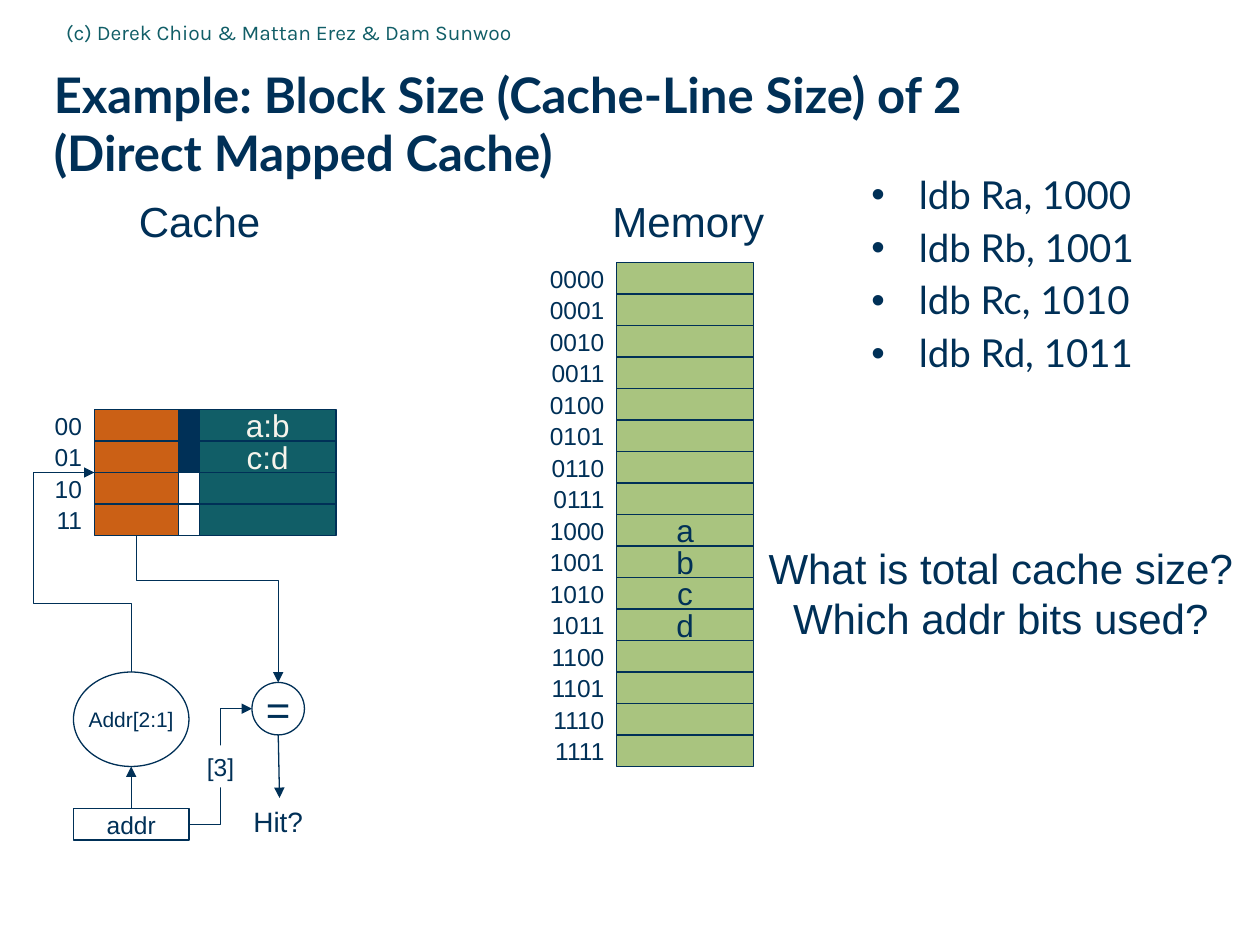
"""Build the slide on a direct mapped cache with a block size of two."""
from pptx import Presentation, util as u
from pptx.dml.color import RGBColor
from pptx.enum import shapes as s, text as t
from pptx.oxml import ns, parse_xml

PX = 9525
NAVY, TEAL, RUST, LEAF, WHITE, CREAM = "003057", "115E67", "CB6015", "A9C47F", "FFFFFF", "F7F4EC"
MID, LEFT, RIGHT = t.PP_ALIGN.CENTER, t.PP_ALIGN.LEFT, t.PP_ALIGN.RIGHT
RECT, OVAL = s.MSO_SHAPE.RECTANGLE, s.MSO_SHAPE.OVAL
rgb = RGBColor.from_string


def write(frame, words, size, face="Arial", hue=NAVY, bold=False, **form):
    frame.text = words
    for par in frame.paragraphs:
        for name, val in form.items():
            setattr(par, name, val)
        for run in par.runs:
            for name, val in dict(size=u.Pt(size), name=face, bold=bold).items():
                setattr(run.font, name, val)
            run.font.color.rgb = rgb(hue)


def box(kind, at, words="", size=14, align=MID, fill=None, line=NAVY, **look):
    at = [n * PX for n in at]
    if kind is None:
        item = draw.add_textbox(*at)
    else:
        item = draw.add_shape(kind, *at)
        item.shadow.inherit = False
        for part, hue in ((item.fill, fill), (item.line.fill, line)):
            if hue:
                part.solid()
                part.fore_color.rgb = rgb(hue)
            else:
                part.background()
        item.line.width = u.Pt(0.75)
    if words:
        frame = item.text_frame
        frame.word_wrap = False
        frame.vertical_anchor = t.MSO_ANCHOR.MIDDLE
        write(frame, words, size, alignment=align, **look)


deck = Presentation()
deck.slide_width, deck.slide_height = 960 * PX, 720 * PX
slide = deck.slides.add_slide(deck.slide_layouts[1])
draw = slide.shapes
title, body = slide.placeholders

for item, at, anchor in (
    (title, (41, 48, 903, 94), t.MSO_ANCHOR.MIDDLE),
    (body, (664, 134, 296, 540), t.MSO_ANCHOR.TOP),
):
    item.left, item.top, item.width, item.height = [n * PX for n in at]
    frame = item.text_frame
    look = dict(auto_size=t.MSO_AUTO_SIZE.NONE, vertical_anchor=anchor, word_wrap=True,
                margin_left=0, margin_right=0, margin_top=0, margin_bottom=0)
    for name, val in look.items():
        setattr(frame, name, val)

write(title.text_frame, "Example: Block Size (Cache-Line Size) of 2\v(Direct Mapped Cache)",
      28, "Lato", bold=True, alignment=LEFT, line_spacing=0.99)
write(body.text_frame, "ldb Ra, 1000\nldb Rb, 1001\nldb Rc, 1010\nldb Rd, 1011",
      22, "Lato", line_spacing=0.9, space_before=u.Pt(6.5))
for par in body.text_frame.paragraphs:
    prop = par._p.get_or_add_pPr()
    prop.set("marL", str(36 * PX))
    prop.set("indent", str(-36 * PX))

box(None, (41, 3, 545, 43), "(c) Derek Chiou & Mattan Erez & Dam Sunwoo", 12, LEFT,
    face="Karla", hue=TEAL)
box(None, (457, 144, 135, 48), "Memory", 24)
box(None, (96, 144, 112, 48), "Cache", 24)

data = {8: "a", 9: "b", 10: "c", 11: "d"}
for row in range(16):
    top = 200 + 24 * row
    box(RECT, (470, top, 104, 24), data.get(row, ""), 18, fill=LEAF)
    box(None, (406, top, 64, 24), f"{row:04b}", align=RIGHT)

for row, pair in enumerate(("a:b", "c:d", "", "")):
    top = 312 + 24 * row
    box(None, (32, top, 40, 24), f"{row:02b}", align=RIGHT)
    box(RECT, (72, top, 64, 24), fill=RUST)
    box(RECT, (136, top, 16, 24), fill=NAVY if pair else WHITE)
    box(RECT, (152, top, 104, 24), pair, 18, fill=TEAL, hue=CREAM)

box(RECT, (56, 616, 88, 24), "addr")
box(OVAL, (56, 512, 88, 72), "Addr[2:1]", 12)
box(OVAL, (192, 520, 40, 40), "=", 24)
box(None, (183, 608, 58, 36), "Hit?", 16)
box(None, (576, 408, 373, 87), "What is total cache size?\nWhich addr bits used?", 24)

LINE, BENT = s.MSO_CONNECTOR.STRAIGHT, s.MSO_CONNECTOR.ELBOW
for kind, ends, turn, bends in (
    (LINE, (100, 616, 100, 584), 0, ()),
    (LINE, (212, 560, 213, 608), 0, ()),
    (BENT, (162, 422, 10, 450), 90, (34200, 266100)),
    (BENT, (214, 410, 102, 518), 270, (30500,)),
    (BENT, (144, 628, 192, 540), 0, (50000,)),
):
    wire = draw.add_connector(kind, *[n * PX for n in ends])
    wire.line.color.rgb = rgb(NAVY)
    wire.line.width = u.Pt(0.75)
    prop = wire._element.spPr
    if turn:
        prop.xfrm.set("rot", str(turn * 60000))
    if bends:
        geom = prop.find(ns.qn("a:prstGeom"))
        geom.set("prst", f"bentConnector{len(bends) + 2}")
        for num, val in enumerate(bends, 1):
            geom.find(ns.qn("a:avLst")).append(parse_xml(
                f'<a:gd {ns.nsdecls("a")} name="adj{num}" fmla="val {val}"/>'))
    wire.line._get_or_add_ln().append(parse_xml(f'<a:tailEnd {ns.nsdecls("a")} type="triangle"/>'))
    prop.append(parse_xml(f'<a:effectLst {ns.nsdecls("a")}/>'))

box(RECT, (144, 568, 48, 32), "[3]", fill=WHITE, line=None)

deck.save("out.pptx")
